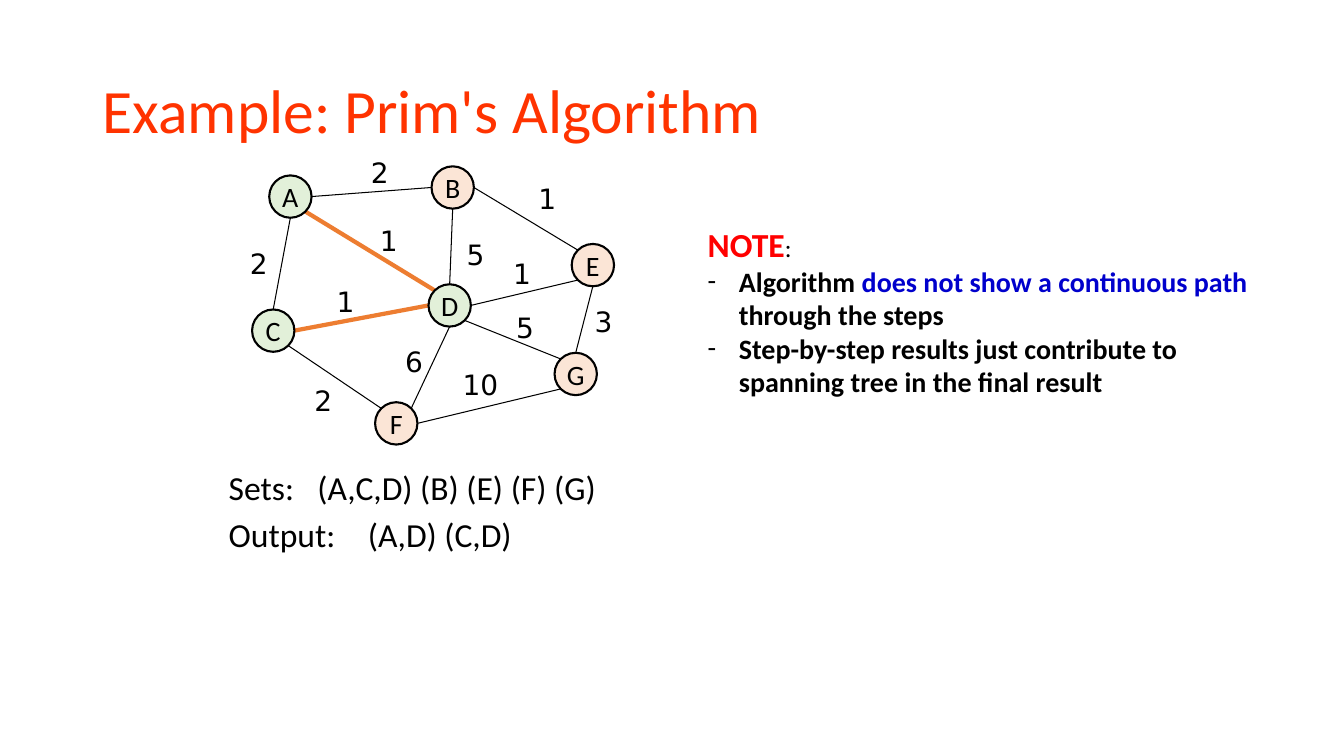
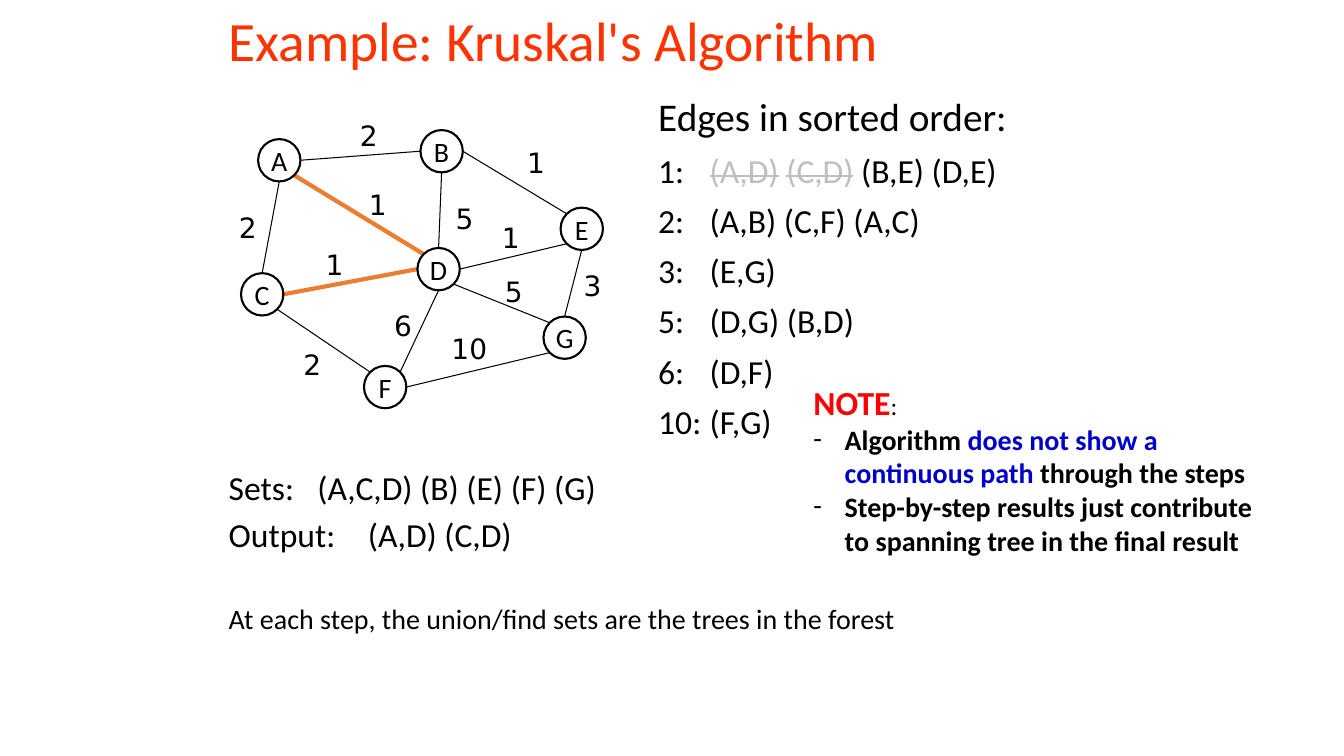
from math import cos, pi, sin

from lxml import etree
from pptx import Presentation
from pptx import util as u
from pptx.dml.color import RGBColor
from pptx.enum import shapes, text
from pptx.oxml.ns import qn

PX = 9144
BLACK = RGBColor(0x00, 0x00, 0x00)
TITLE_RED = RGBColor(0xFF, 0x33, 0x00)
NOTE_RED = RGBColor(0xFF, 0x00, 0x00)
NOTE_BLUE = RGBColor(0x00, 0x00, 0xCC)
USED_GREY = RGBColor(0xBF, 0xBF, 0xBF)
TREE_ORANGE = RGBColor(0xED, 0x7D, 0x31)
TREE_GREEN = RGBColor(0xE2, 0xF0, 0xD9)
OPEN_PEACH = RGBColor(0xFB, 0xE5, 0xD6)
TEXT_FONT = "Calibri"
WEIGHT_FONT = "DejaVu Sans"

NODE_SIZE = 42
NODES = {
    "A": (17, 9), "B": (178, 0), "C": (0, 142), "D": (175, 117),
    "E": (317, 77), "F": (122, 234), "G": (300, 185),
}
TREE_NODES = "ACD"
TREE_EDGES = ("AD", "CD")
SITES = ("top", "top left", "left", "bottom left",
         "bottom", "bottom right", "right", "top right")
EDGES = [
    ("AB", "right", "left", "2", (108, -16)),
    ("AC", "bottom", "top", "2", (-12, 75)),
    ("AD", "bottom right", "top left", "1", (117, 52)),
    ("BD", "bottom", "top", "5", (203, 66)),
    ("BE", "right", "top left", "1", (274, 10)),
    ("CD", "right", "left", "1", (74, 112)),
    ("CF", "bottom right", "top left", "2", (52, 211)),
    ("DE", "right", "bottom left", "1", (249, 85)),
    ("DF", "bottom", "top right", "6", (142, 172)),
    ("DG", "bottom right", "top left", "5", (252, 138)),
    ("EG", "bottom", "top", "3", (330, 132)),
    ("FG", "right", "bottom left", "10", (199, 195)),
]

RESULTS = ["Sets:\t(A,C,D) (B) (E) (F) (G)", "Output:\t(A,D) (C,D)"]
NOTE_HEADING = [("NOTE", 24, NOTE_RED, True), (":", 18, BLACK, False)]
NOTE_POINTS = [
    [("Algorithm ", 20, BLACK, True),
     ("does not show a continuous path", 20, NOTE_BLUE, True),
     (" through the steps", 20, BLACK, True)],
    [("Step-by-step results just contribute to spanning tree in the final result",
      20, BLACK, True)],
]
USED_EDGES = ("(A,D)", "(C,D)")
SORTED_HEADING = "Edges in sorted order:"
SORTED_EDGES = [
    ("1", "(B,E) (D,E)"),
    ("2", "(A,B) (C,F) (A,C)"),
    ("3", "(E,G)"),
    ("5", "(D,G) (B,D)"),
    ("6", "(D,F)"),
    ("10", "(F,G)"),
]
FOREST_REMARK = "At each step, the union/find sets are the trees in the forest"

EXAMPLES = [
    dict(title="Example: Prim's Algorithm", title_box=(92, 40, 1150, 145),
         title_size=44, graph_at=(250, 165), colored=True,
         note_box=(692, 217, 565, 185), sorted_list=False),
    dict(title="Example: Kruskal's Algorithm", title_box=(217, 17, 925, 53),
         title_size=39.6, graph_at=(239, 129), colored=False,
         note_box=(797, 374, 463, 185), sorted_list=True),
]


def px(*lengths):
    return [round(length * PX) for length in lengths]


def add_run(paragraph, words, size, color=BLACK, bold=False, strike=False, font=TEXT_FONT):
    run = paragraph.add_run()
    run.text = words
    run.font.name = font
    run.font.size = u.Pt(size)
    run.font.bold = bold
    run.font.color.rgb = color
    if strike:
        run.font._element.set("strike", "sngStrike")


def format_paragraph(paragraph, hang=0, before=0, spacing=None, bullet=None, tab=None):
    if before:
        paragraph.space_before = u.Pt(before)
    if spacing:
        paragraph.line_spacing = spacing
    properties = paragraph._p.get_or_add_pPr()
    if hang:
        properties.set("marL", str(hang * PX))
        properties.set("indent", str(-hang * PX))
    if bullet:
        etree.SubElement(properties, qn("a:buFont")).set("typeface", TEXT_FONT)
        etree.SubElement(properties, qn("a:buChar")).set("char", bullet)
    if tab:
        stops = etree.SubElement(properties, qn("a:tabLst"))
        stop = etree.SubElement(stops, qn("a:tab"))
        stop.set("pos", str(tab * PX))
        stop.set("algn", "l")


def add_text(slide, box, paragraphs, wrap=True, anchor=text.MSO_ANCHOR.TOP):
    frame = slide.shapes.add_textbox(*px(*box)).text_frame
    frame.word_wrap = wrap
    frame.vertical_anchor = anchor
    for index, (runs, layout) in enumerate(paragraphs):
        paragraph = frame.add_paragraph() if index else frame.paragraphs[0]
        format_paragraph(paragraph, **layout)
        for run in runs:
            add_run(paragraph, *run)
    return frame


def site_point(node, site, origin):
    angle = SITES.index(site) * pi / 4
    radius = NODE_SIZE / 2
    left, top = NODES[node]
    return (origin[0] + left + radius - radius * sin(angle),
            origin[1] + top + radius - radius * cos(angle))


def add_edge(slide, edge, start_site, end_site, origin):
    start = site_point(edge[0], start_site, origin)
    end = site_point(edge[1], end_site, origin)
    connector = slide.shapes.add_connector(
        shapes.MSO_CONNECTOR.STRAIGHT, *px(*start, *end))
    in_tree = edge in TREE_EDGES
    connector.line.color.rgb = TREE_ORANGE if in_tree else BLACK
    connector.line.width = u.Pt(3 if in_tree else 0.75)
    etree.SubElement(connector._element.spPr, qn("a:effectLst"))


def add_node(slide, name, origin, colored):
    left, top = NODES[name]
    shape = slide.shapes.add_shape(
        shapes.MSO_SHAPE.OVAL,
        *px(origin[0] + left, origin[1] + top, NODE_SIZE, NODE_SIZE))
    shape.shadow.inherit = False
    if colored:
        shape.fill.solid()
        shape.fill.fore_color.rgb = TREE_GREEN if name in TREE_NODES else OPEN_PEACH
    else:
        shape.fill.background()
    shape.line.color.rgb = BLACK
    shape.line.width = u.Pt(1.5)
    frame = shape.text_frame
    frame.word_wrap = False
    frame.vertical_anchor = text.MSO_ANCHOR.MIDDLE
    paragraph = frame.paragraphs[0]
    paragraph.alignment = text.PP_ALIGN.CENTER
    add_run(paragraph, name, 20)


def add_graph(slide, origin, colored):
    for edge, start_site, end_site, weight, (left, top) in EDGES:
        add_edge(slide, edge, start_site, end_site, origin)
        box = (origin[0] + left, origin[1] + top, 20 + 18 * len(weight), 44)
        frame = add_text(slide, box, [([(weight, 20)], {})], wrap=False)
        frame.paragraphs[0].runs[0].font.name = WEIGHT_FONT
    for name in NODES:
        add_node(slide, name, origin, colored)


def add_results(slide):
    add_text(slide, (217, 458, 775, 99), [
        ([(line, 24)], dict(hang=38, tab=144, before=4.8 if index else 0))
        for index, line in enumerate(RESULTS)])


def add_note(slide, box):
    points = [(runs, dict(hang=31, bullet="-")) for runs in NOTE_POINTS]
    add_text(slide, box, [(NOTE_HEADING, {})] + points)


def add_sorted_edges(slide):
    paragraphs = [([(SORTED_HEADING, 28)], dict(spacing=0.9))]
    for index, (weight, edges) in enumerate(SORTED_EDGES):
        runs = [(f"{weight}:\t", 24)]
        if index == 0:
            for used in USED_EDGES:
                runs += [(used, 24, USED_GREY, False, True), (" ", 24)]
        runs.append((edges, 24))
        paragraphs.append((runs, dict(hang=51, before=10, spacing=0.9)))
    add_text(slide, (643, 92, 512, 367), paragraphs)
    add_text(slide, (217, 592, 688, 44), [([(FOREST_REMARK, 20)], {})], wrap=False)


def add_example(presentation, example):
    slide = presentation.slides.add_slide(presentation.slide_layouts[6])
    title = [([(example["title"], example["title_size"], TITLE_RED)], dict(spacing=0.9))]
    add_text(slide, example["title_box"], title, anchor=text.MSO_ANCHOR.MIDDLE)
    add_graph(slide, example["graph_at"], example["colored"])
    add_results(slide)
    if example["sorted_list"]:
        add_sorted_edges(slide)
    add_note(slide, example["note_box"])


def main():
    presentation = Presentation()
    presentation.slide_width, presentation.slide_height = px(1333, 750)
    for example in EXAMPLES:
        add_example(presentation, example)
    presentation.save("out.pptx")


if __name__ == "__main__":
    main()
